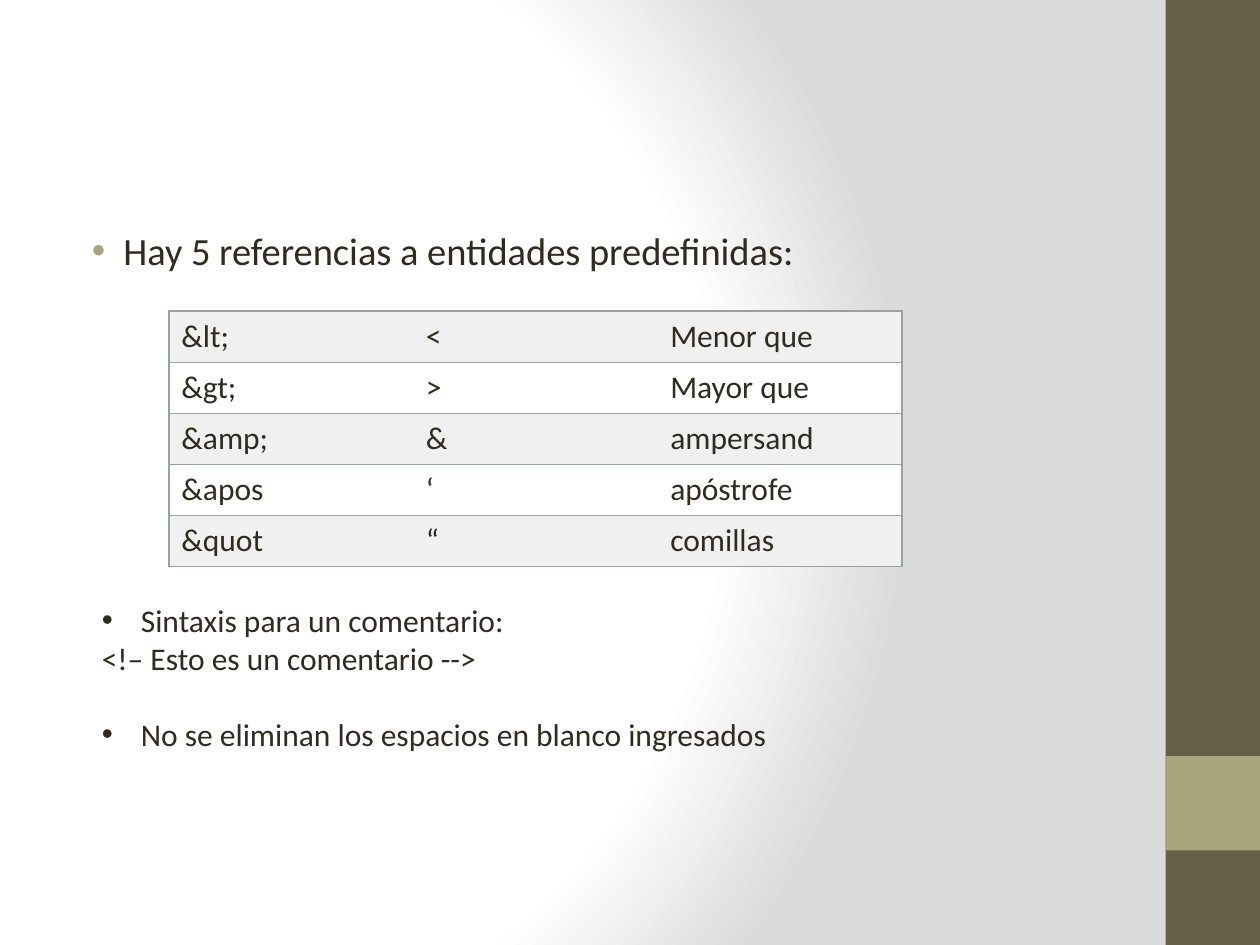
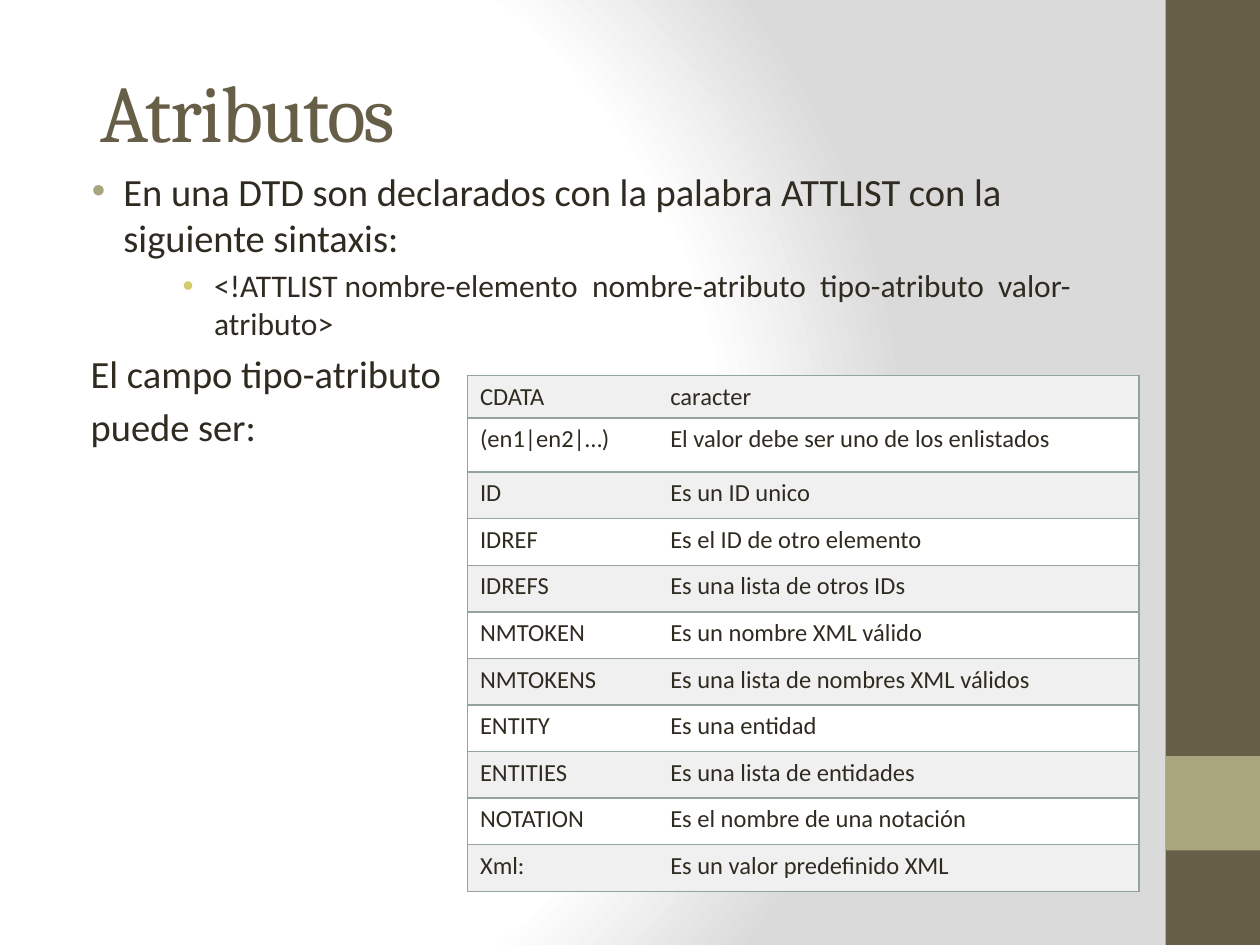
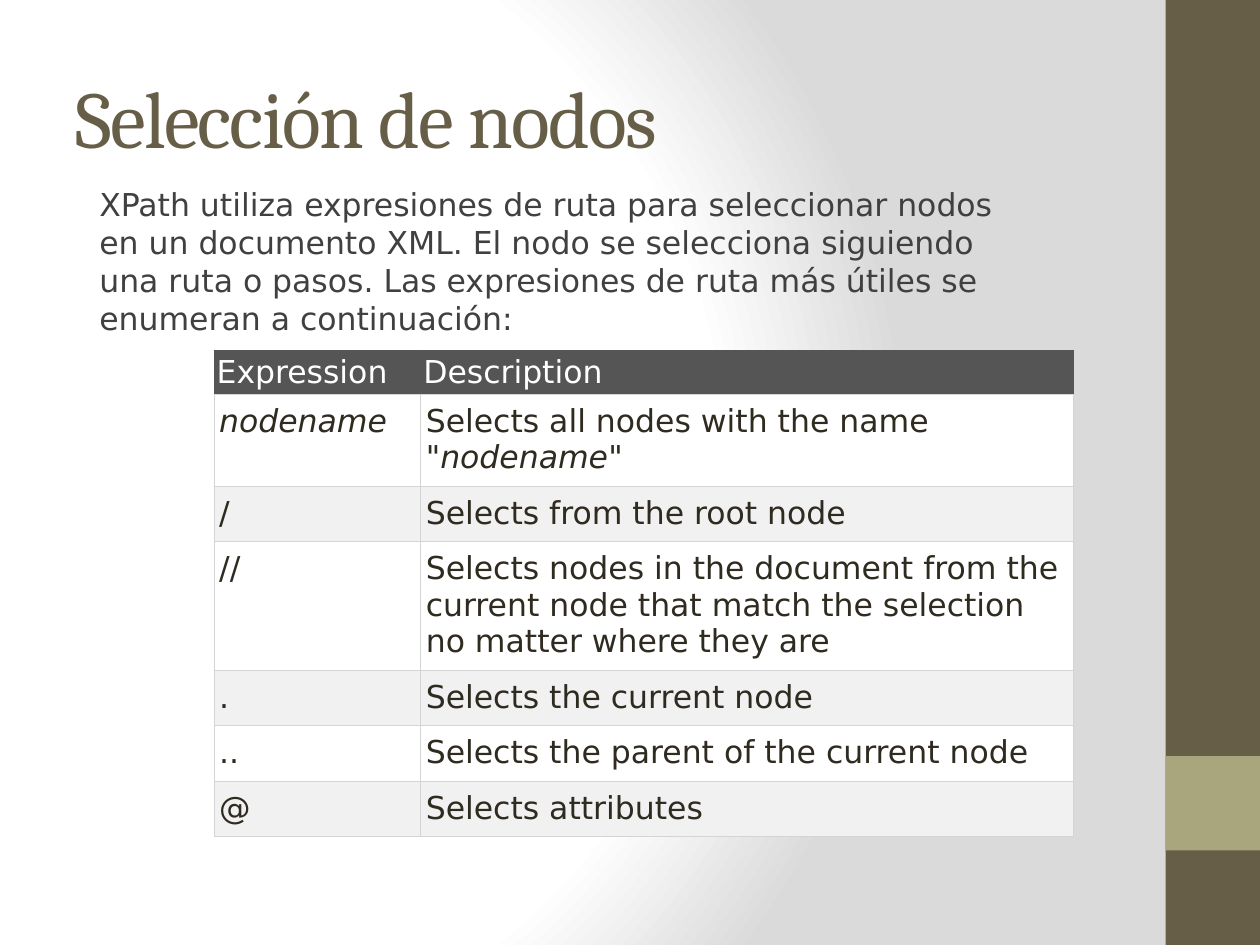
"""Build three slides about XML entities, attributes and XPath node selection."""
from dataclasses import dataclass

from lxml import etree
from pptx import Presentation
from pptx.dml.color import RGBColor
from pptx.enum.shapes import MSO_SHAPE
from pptx.enum.text import MSO_ANCHOR, MSO_AUTO_SIZE, PP_ALIGN
from pptx.oxml import parse_xml
from pptx.oxml.ns import nsdecls, qn
from pptx.util import Emu, Pt

RECT = MSO_SHAPE.RECTANGLE
MIDDLE, TOP = MSO_ANCHOR.MIDDLE, MSO_ANCHOR.TOP
FIXED, GROW = MSO_AUTO_SIZE.NONE, MSO_AUTO_SIZE.SHAPE_TO_FIT_TEXT
LEFT = PP_ALIGN.LEFT
EMU_PER_PX = 9144
SLIDE_W, SLIDE_H = 1000, 750
BAND_W = 75
TITLE_AND_BODY, TITLE_ONLY = 1, 5


@dataclass(frozen=True)
class Theme:
    """Colours, fonts and type sizes of the deck."""
    ink: str = "2F2B20"
    soft_ink: str = "404040"
    brown: str = "675E47"
    olive: str = "A9A57C"
    lime: str = "D2CB6C"
    white: str = "FFFFFF"
    shade: str = "DADADA"
    stripe: str = "EFF0EF"
    rule: str = "95A39D"
    head: str = "555555"
    grid: str = "D4D4D4"
    grey_stripe: str = "F1F1F1"
    title_font: str = "Cambria"
    body_font: str = "Calibri"
    web_font: str = "DejaVu Sans"
    title: int = 46
    lead: int = 22
    text: int = 18
    small: int = 14


T = Theme()


def px(n):
    """Turn px into EMU."""
    return Emu(n * EMU_PER_PX)


def rgb(color):
    """Turn a hex string into a colour."""
    return RGBColor.from_string(color)


def write(p, text, size=T.text, font=T.body_font, color=T.ink, spc=None):
    """Add text to a paragraph, with parts between asterisks in italics."""
    for i, part in enumerate(text.split("*")):
        if not part:
            continue
        r = p.add_run()
        r.text = part
        r.font.size, r.font.name = Pt(size), font
        r.font.color.rgb = rgb(color)
        if i % 2:
            r.font.italic = True
        if spc is not None:
            r.font._element.set("spc", str(spc))


def set_bullet(p, indent, hang, bullet):
    """Set the indents of a paragraph and its bullet colour, if any."""
    pPr = p._p.get_or_add_pPr()
    pPr.set("marL", str(px(indent)))
    pPr.set("indent", str(px(-hang)))
    if bullet is None:
        etree.SubElement(pPr, qn("a:buNone"))
        return
    clr = etree.SubElement(pPr, qn("a:buClr"))
    etree.SubElement(clr, qn("a:srgbClr"), val=bullet)
    etree.SubElement(pPr, qn("a:buFont"), typeface="Arial")
    etree.SubElement(pPr, qn("a:buChar"), char="•")


def add_line(tf, text, indent=0, hang=0, bullet=None, before=0, level=0, **fmt):
    """Write one paragraph of a list."""
    p = tf.paragraphs[0] if not tf.text else tf.add_paragraph()
    p.level, p.alignment = level, LEFT
    p.space_before = Pt(before)
    set_bullet(p, indent, hang, bullet)
    write(p, text, **fmt)


def place(sp, box, anchor=TOP, fit=FIXED):
    """Move a shape to its box and return its text frame."""
    sp.left, sp.top, sp.width, sp.height = map(px, box)
    tf = sp.text_frame
    tf.word_wrap, tf.auto_size, tf.vertical_anchor = True, fit, anchor
    return tf


def add_title(slide, text, box):
    """Fill the title placeholder."""
    p = place(slide.shapes.title, box, MIDDLE).paragraphs[0]
    p.alignment = LEFT
    write(p, text, T.title, T.title_font, T.brown, spc=-100)


def add_lead(tf, text, **fmt):
    """Write a first-level line of a body placeholder."""
    fmt = {"indent": 38, "hang": 25, "bullet": T.olive, **fmt}
    add_line(tf, text, before=4.4, size=T.lead, **fmt)


def add_text_box(slide, box):
    """Add a text box that grows with its text."""
    return place(slide.shapes.add_textbox(*map(px, box)), box, fit=GROW)


def set_borders(cell, width, **colors):
    """Draw the four borders of a cell; None leaves a side empty."""
    tcPr = cell._tc.get_or_add_tcPr()
    for side in "LRTB":
        ln = etree.SubElement(tcPr, qn(f"a:ln{side}"), w=str(Pt(width)))
        if colors[side] is None:
            etree.SubElement(ln, qn("a:noFill"))
        else:
            fill = etree.SubElement(ln, qn("a:solidFill"))
            etree.SubElement(fill, qn("a:srgbClr"), val=colors[side])


def set_cell(cell, text, fill, inset=None, **fmt):
    """Write and fill one cell."""
    cell.fill.solid()
    cell.fill.fore_color.rgb = rgb(fill)
    if inset:
        cell.margin_left = cell.margin_right = px(inset[0])
        cell.margin_top = cell.margin_bottom = px(inset[1])
    write(cell.text_frame.paragraphs[0], text, **fmt)


def add_grid(slide, left, top, cols, heights):
    """Add a plain table with the given column widths and row heights."""
    box = left, top, sum(cols), sum(heights)
    frame = slide.shapes.add_table(len(heights), len(cols), *map(px, box))
    table = frame.table
    table.first_row = table.horz_banding = False
    for col, width in zip(table.columns, cols):
        col.width = px(width)
    for row, height in zip(table.rows, heights):
        row.height = px(height)
    return table


def add_ruled_table(slide, left, top, cols, heights, rows, size):
    """Add a striped table with row rules and an outer frame."""
    table = add_grid(slide, left, top, cols, heights)
    for i, row in enumerate(rows):
        for j, text in enumerate(row):
            cell = table.cell(i, j)
            set_borders(cell, 1, T=T.rule, B=T.rule,
                        L=T.rule if j == 0 else None,
                        R=T.rule if j == len(cols) - 1 else None)
            set_cell(cell, text, T.white if i % 2 else T.stripe, size=size)


def add_headed_table(slide, left, top, cols, heights, rows):
    """Add a striped table with a dark head row and a full grid."""
    table = add_grid(slide, left, top, cols, heights)
    for i, row in enumerate(rows):
        edge = T.grid if i else T.head
        fill = T.head if i == 0 else T.white if i % 2 else T.grey_stripe
        for j, text in enumerate(row):
            cell = table.cell(i, j)
            set_borders(cell, 0.75, L=edge, R=edge, T=edge, B=T.grid)
            set_cell(cell, text, fill, inset=(4, 7) if i else (2, 3),
                     font=T.web_font, color=T.ink if i else T.white)


def set_background(master):
    """Give the master a round gradient from white to grey."""
    stops = "".join(
        f'<a:gs pos="{pos}000"><a:srgbClr val="{color}"/></a:gs>'
        for pos, color in ((0, T.white), (75, T.white), (100, T.shade)))
    cSld = master.element.find(qn("p:cSld"))
    bg = cSld.find(qn("p:bg"))
    if bg is not None:
        cSld.remove(bg)
    cSld.insert(0, parse_xml(
        f'<p:bg {nsdecls("p", "a")}><p:bgPr><a:gradFill rotWithShape="1">'
        f'<a:gsLst>{stops}</a:gsLst><a:path path="circle">'
        '<a:fillToRect l="20000" t="50000" r="100000" b="50000"/></a:path>'
        '</a:gradFill><a:effectLst/></p:bgPr></p:bg>'))


def add_bands(slide, master):
    """Draw the side bands and move them behind the master's placeholders."""
    left = SLIDE_W - BAND_W
    bands = ((0, SLIDE_H, T.brown), (600, BAND_W, T.olive))
    for i, (top, height, color) in enumerate(bands):
        sp = slide.shapes.add_shape(RECT, *map(px, (left, top, BAND_W, height)))
        sp.shadow.inherit = False
        sp.fill.solid()
        sp.fill.fore_color.rgb = rgb(color)
        sp.line.fill.background()
        sp.element.nvSpPr.cNvPr.set("id", str(100 + i))
        master.element.find(qn("p:cSld")).spTree.insert(2 + i, sp.element)


def build_entities(slide):
    """Fill the slide on predefined entities and comments."""
    title = slide.shapes.title.element
    title.getparent().remove(title)
    body = place(slide.placeholders[1], (50, 175, 833, 53))
    add_lead(body, "Hay 5 referencias a entidades predefinidas:")
    rows = (("&lt;", "<", "Menor que"),
            ("&gt;", ">", "Mayor que"),
            ("&amp;", "&", "ampersand"),
            ("&apos", "‘", "apóstrofe"),
            ("&quot", "“", "comillas"))
    add_ruled_table(slide, 134, 247, [194] * 3, [40] * len(rows), rows, T.text)
    notes = add_text_box(slide, (71, 472, 756, 162))
    item = {"indent": 31, "hang": 31, "bullet": T.ink}
    add_line(notes, "Sintaxis para un comentario:", **item)
    add_line(notes, "<!– Esto es un comentario -->")
    add_line(notes, "No se eliminan los espacios en blanco ingresados",
             before=22, **item)


def build_attributes(slide):
    """Fill the slide on attribute declarations."""
    add_title(slide, "Atributos", (70, 25, 833, 125))
    body = place(slide.placeholders[1], (50, 128, 833, 572))
    add_lead(body, "En una DTD son declarados con la palabra ATTLIST con la "
                   "siguiente sintaxis:")
    add_line(body, "<!ATTLIST nombre-elemento  nombre-atributo  tipo-atributo"
                   "  valor-atributo>",
             indent=110, hang=25, bullet=T.lime, before=3.6, level=2)
    for text in ("El campo tipo-atributo", "puede ser:"):
        add_lead(body, text, indent=12, hang=0, bullet=None)
    rows = (("CDATA", "caracter"),
            ("(en1|en2|…)", "El valor debe ser uno de los enlistados"),
            ("ID", "Es un ID unico"),
            ("IDREF", "Es el ID de otro elemento"),
            ("IDREFS", "Es una lista de otros IDs"),
            ("NMTOKEN", "Es un nombre XML válido"),
            ("NMTOKENS", "Es una lista de nombres XML válidos"),
            ("ENTITY", "Es una entidad"),
            ("ENTITIES", "Es una lista de entidades"),
            ("NOTATION", "Es el nombre de una notación"),
            ("Xml:", "Es un valor predefinido XML"))
    heights = [33, 43] + [37] * (len(rows) - 2)
    add_ruled_table(slide, 371, 298, [151, 382], heights, rows, T.small)


def build_nodes(slide):
    """Fill the slide on XPath node selection."""
    add_title(slide, "Selección de nodos", (50, 30, 833, 125))
    rows = (("Expression", "Description"),
            ("*nodename*", 'Selects all nodes with the name "*nodename*"'),
            ("/", "Selects from the root node"),
            ("//", "Selects nodes in the document from the current node that "
                   "match the selection no matter where they are"),
            (".", "Selects the current node"),
            ("..", "Selects the parent of the current node"),
            ("@", "Selects attributes"))
    heights = [35, 73, 44, 102, 44, 44, 44]
    add_headed_table(slide, 170, 278, [164, 518], heights, rows)
    intro = add_text_box(slide, (69, 142, 733, 131))
    add_line(intro, "XPath utiliza expresiones de ruta para seleccionar nodos "
                    "en un documento XML. El nodo se selecciona siguiendo una "
                    "ruta o pasos. Las expresiones de ruta más útiles se "
                    "enumeran a continuación:",
             font=T.web_font, color=T.soft_ink)


def main():
    """Build and save the deck."""
    prs = Presentation()
    prs.slide_width, prs.slide_height = px(SLIDE_W), px(SLIDE_H)
    set_background(prs.slide_master)
    pages = ((TITLE_AND_BODY, build_entities),
             (TITLE_AND_BODY, build_attributes),
             (TITLE_ONLY, build_nodes))
    for layout, build in pages:
        build(prs.slides.add_slide(prs.slide_layouts[layout]))
    add_bands(prs.slides[0], prs.slide_master)
    prs.save("out.pptx")


if __name__ == "__main__":
    main()
